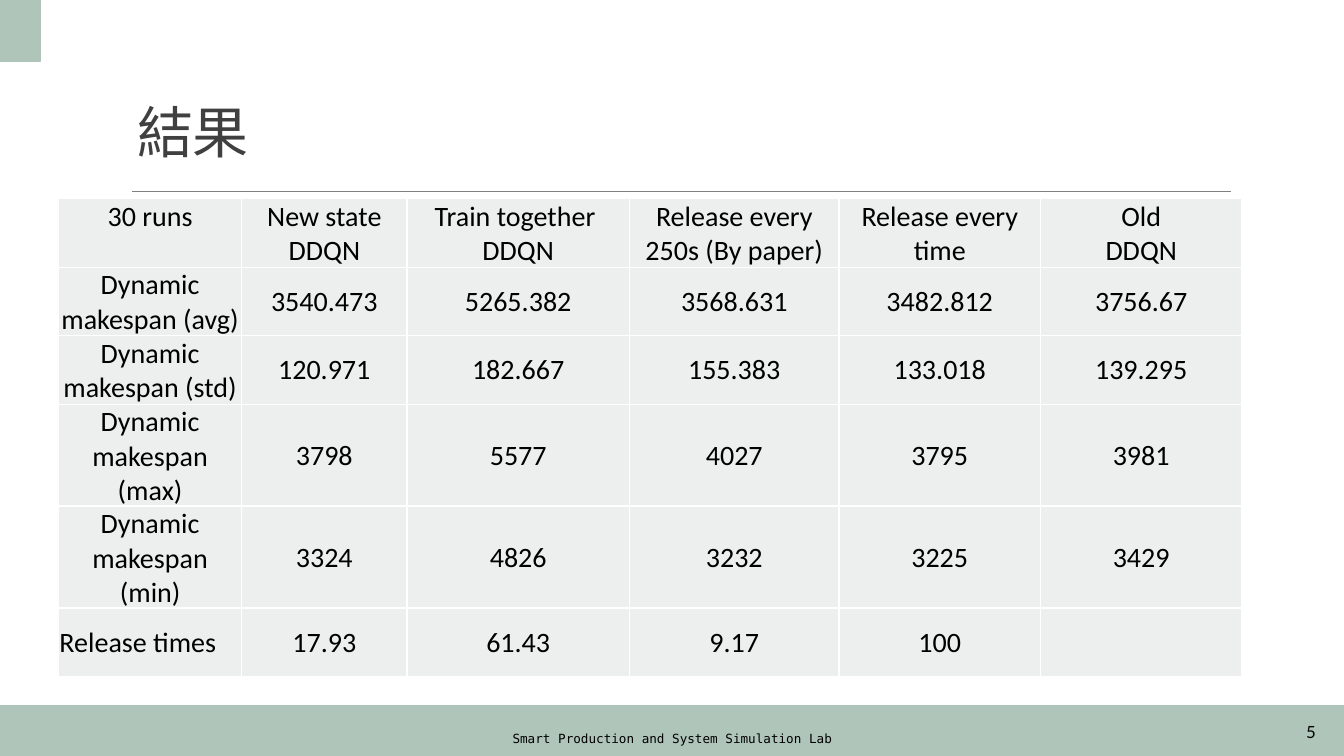
from lxml import etree
from pptx import Presentation, util as u
from pptx.dml.color import RGBColor
from pptx.enum import shapes, text
from pptx.oxml.ns import qn

SLIDE_WIDTH, SLIDE_HEIGHT = u.Inches(13.33), u.Inches(7.5)
COLORS = {"sage": "AFC5B9", "rule": "808080", "title": "404040",
          "text": "000000", "cell": "ECEFED", "border": "FFFFFF"}
FONTS = {"title": "Noto Sans CJK SC", "footer": "DejaVu Sans Mono",
         "number": "Lato", "table": "Calibri"}
CENTER, RIGHT, JUSTIFY = (text.PP_ALIGN.CENTER, text.PP_ALIGN.RIGHT,
                          text.PP_ALIGN.JUSTIFY)
TOP, MIDDLE, BOTTOM = (text.MSO_ANCHOR.TOP, text.MSO_ANCHOR.MIDDLE,
                       text.MSO_ANCHOR.BOTTOM)
COLUMN_WIDTHS = [1.82, 1.64, 2.21, 2.08, 2, 2]
RESULTS = [
    ["30 runs", "New state\nDDQN", "Train together \nDDQN",
     "Release every 250s (By paper)", "Release every time", "Old\nDDQN"],
    ["Dynamic makespan (avg)", "3540.473", "5265.382", "3568.631", "3482.812", "3756.67"],
    ["Dynamic makespan (std)", "120.971", "182.667", "155.383", "133.018", "139.295"],
    ["Dynamic makespan (max)", "3798", "5577", "4027", "3795", "3981"],
    ["Dynamic makespan (min)", "3324", "4826", "3232", "3225", "3429"],
    ["Release times", "17.93", "61.43", "9.17", "100", ""],
]


def rgb(name):
    return RGBColor.from_string(COLORS[name])


def area(left, top, width, height):
    """Turn percentages of the slide into lengths."""
    return (int(SLIDE_WIDTH * left / 100), int(SLIDE_HEIGHT * top / 100),
            int(SLIDE_WIDTH * width / 100), int(SLIDE_HEIGHT * height / 100))


def set_attributes(target, values):
    for name, value in values.items():
        setattr(target, name, value)


def write(frame, content, font, size, color="text", **paragraph_format):
    frame.text = content
    for paragraph in frame.paragraphs:
        set_attributes(paragraph, paragraph_format)
        for run in paragraph.runs:
            set_attributes(run.font, {"name": FONTS[font], "size": u.Pt(size)})
            run.font.color.rgb = rgb(color)


def add_bar(slide, *place):
    bar = slide.shapes.add_shape(shapes.MSO_SHAPE.RECTANGLE, *area(*place))
    bar.shadow.inherit = False
    bar.fill.solid()
    bar.fill.fore_color.rgb = bar.line.color.rgb = rgb("sage")
    bar.line.width = u.Pt(1.25)


def add_rule(slide, left, top, width):
    x, y, length, _ = area(left, top, width, 0)
    rule = slide.shapes.add_connector(shapes.MSO_CONNECTOR.STRAIGHT, x, y, x + length, y)
    rule.line.color.rgb = rgb("rule")
    rule.line.width = u.Pt(0.5)
    etree.SubElement(rule.element.spPr, qn("a:effectLst"))


def format_title(slide, content, *place):
    title = slide.shapes.title
    set_attributes(title, dict(zip(("left", "top", "width", "height"), area(*place))))
    frame = title.text_frame
    set_attributes(frame, {"vertical_anchor": BOTTOM, "word_wrap": True,
                           "auto_size": text.MSO_AUTO_SIZE.NONE})
    write(frame, content, "title", 40, "title",
          alignment=text.PP_ALIGN.LEFT, line_spacing=0.85)
    properties = frame.paragraphs[0].runs[0].font._element
    properties.set("spc", "-50")
    east_asian = etree.Element(qn("a:ea"), typeface=FONTS["title"])
    properties.find(qn("a:latin")).addnext(east_asian)


def add_label(slide, content, font, size, alignment, *place):
    frame = slide.shapes.add_textbox(*area(*place)).text_frame
    set_attributes(frame, {"word_wrap": True, "vertical_anchor": MIDDLE})
    write(frame, content, font, size, alignment=alignment)


def add_borders(cell):
    properties = cell._tc.get_or_add_tcPr()
    for index, side in enumerate(("lnL", "lnR", "lnT", "lnB")):
        line = etree.Element(qn(f"a:{side}"), w=str(u.Pt(1)))
        fill = etree.SubElement(line, qn("a:solidFill"))
        etree.SubElement(fill, qn("a:srgbClr"), val=COLORS["border"])
        properties.insert(index, line)


def add_results_table(slide, *place):
    x, y, width, height = area(*place)
    table = slide.shapes.add_table(len(RESULTS), len(COLUMN_WIDTHS),
                                   x, y, width, height).table
    for column, share in zip(table.columns, COLUMN_WIDTHS):
        column.width = int(width * share / sum(COLUMN_WIDTHS))
    last_row = len(RESULTS) - 1
    for row, values in enumerate(RESULTS):
        for column, value in enumerate(values):
            cell = table.cell(row, column)
            is_heading = row == 0 or (column == 0 and row < last_row)
            is_last_label = column == 0 and row == last_row
            set_attributes(cell, {
                "margin_left": u.Inches(0.01), "margin_right": u.Inches(0.01),
                "margin_top": u.Inches(0.01), "margin_bottom": 0,
                "vertical_anchor": TOP if is_heading else MIDDLE})
            cell.fill.solid()
            cell.fill.fore_color.rgb = rgb("cell")
            add_borders(cell)
            write(cell.text_frame, value, "table", 20,
                  alignment=JUSTIFY if is_last_label else CENTER)


def main():
    presentation = Presentation()
    set_attributes(presentation, {"slide_width": SLIDE_WIDTH,
                                  "slide_height": SLIDE_HEIGHT})
    slide = presentation.slides.add_slide(presentation.slide_layouts[5])
    add_bar(slide, 0, 93.33, 100, 6.67)
    add_rule(slide, 9.83, 25.33, 81.77)
    add_bar(slide, 0, 0, 3, 8.13)
    format_title(slide, "結果", 9.45, 14.53, 78.47, 8)
    add_label(slide, "Smart Production and System Simulation Lab", "footer", 9,
              CENTER, 30.23, 95.87, 39.53, 3.73)
    add_label(slide, "5", "number", 12, RIGHT, 87.92, 94.13, 10.73, 5.33)
    add_results_table(slide, 4.35, 26.27, 88.07, 54.4)
    presentation.save("out.pptx")


if __name__ == "__main__":
    main()
